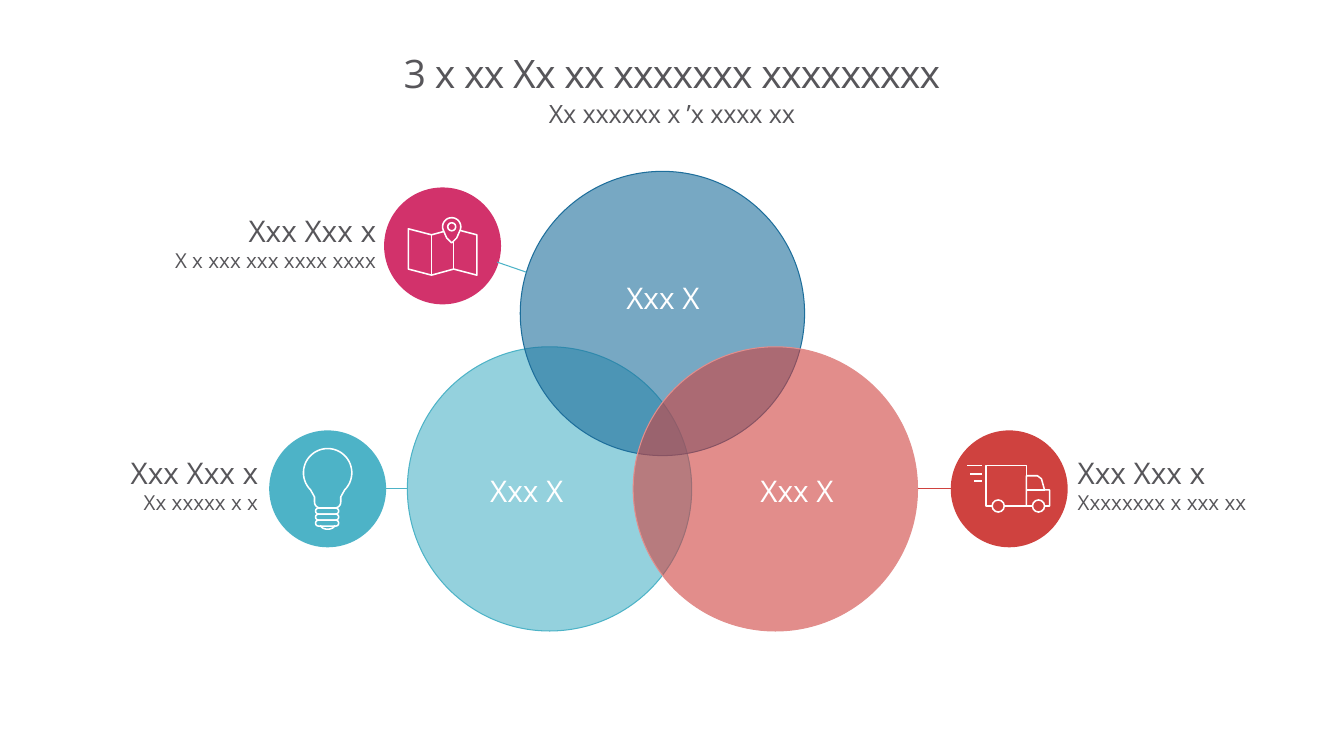
from math import cos, pi, sin

from lxml.etree import SubElement
from pptx import Presentation
from pptx.dml.color import RGBColor
from pptx.enum.shapes import MSO_CONNECTOR, MSO_SHAPE
from pptx.enum.text import MSO_ANCHOR, MSO_AUTO_SIZE, PP_ALIGN
from pptx.oxml.ns import qn
from pptx.util import Inches, Pt

FONT = "Open Sans"
GRAY = RGBColor(0x57, 0x56, 0x5A)
WHITE = RGBColor(0xFF, 0xFF, 0xFF)
TEAL = RGBColor(0x4D, 0xB3, 0xC7)
BLUE = RGBColor(0x1D, 0x6E, 0x9B)
RED = RGBColor(0xCF, 0x42, 0x3F)
PINK = RGBColor(0xD2, 0x32, 0x6B)
LIGHT_RED = RGBColor(0xE2, 0x8E, 0x8C)

ICON_STROKE = 1.1
VENN_DIAMETER = 2.82
BADGE_DIAMETER = 1.16


def style_shape(shape, fill=None, line=None, width=ICON_STROKE):
    shape.shadow.inherit = False
    if fill is None:
        shape.fill.background()
    else:
        shape.fill.solid()
        shape.fill.fore_color.rgb = fill
    if line is None:
        shape.line.fill.background()
    else:
        shape.line.color.rgb = line
        shape.line.width = Pt(width)


def add_preset(shapes, preset, box, **style):
    shape = shapes.add_shape(preset, *map(Inches, box))
    style_shape(shape, **style)
    return shape


def add_circle(shapes, x, y, radius, **style):
    """Add a circle by its centre."""
    box = (x - radius, y - radius, 2 * radius, 2 * radius)
    return add_preset(shapes, MSO_SHAPE.OVAL, box, **style)


def add_outline(shapes, points, close=True, fill=None):
    """Draw a white icon stroke through points given in inches."""
    corners = [(Inches(x), Inches(y)) for x, y in points]
    builder = shapes.build_freeform(*corners[0], scale=1.0)
    builder.add_line_segments(corners[1:], close=close)
    style_shape(builder.convert_to_shape(), fill=fill, line=WHITE)


def add_line(shapes, start, end, color, width=0.75):
    line = shapes.add_connector(MSO_CONNECTOR.STRAIGHT, *map(Inches, start + end))
    line.line.color.rgb = color
    line.line.width = Pt(width)
    SubElement(line._element.spPr, qn("a:effectLst"))


def arc(x, y, radius_x, radius_y, first, last, steps=40):
    """Return points on an ellipse between two angles in degrees, clockwise."""
    angles = [(first + (last - first) * i / steps) * pi / 180 for i in range(steps + 1)]
    return [(x + radius_x * cos(a), y + radius_y * sin(a)) for a in angles]


def add_text(slide, box, lines, align, color=GRAY, spacing=0.95, tracking=0, heading=False):
    """Add a text box; lines holds pairs of wording and point size."""
    shape = slide.shapes.add_textbox(*map(Inches, box))
    frame = shape.text_frame
    frame.word_wrap = True
    if heading:
        for side in ("left", "right", "top", "bottom"):
            setattr(frame, f"margin_{side}", 0)
    else:
        frame.auto_size = MSO_AUTO_SIZE.SHAPE_TO_FIT_TEXT
    for index, (wording, size) in enumerate(lines):
        paragraph = frame.add_paragraph() if index else frame.paragraphs[0]
        paragraph.alignment = align
        paragraph.line_spacing = spacing
        run = paragraph.add_run()
        run.text = wording
        for name, value in {"name": FONT, "size": Pt(size)}.items():
            setattr(run.font, name, value)
        run.font.color.rgb = color
        if tracking:
            run._r.get_or_add_rPr().set("spc", str(tracking))
    return frame


def add_headings(slide):
    style = {"align": PP_ALIGN.CENTER, "spacing": 0.86, "heading": True}
    title = add_text(slide, (1, 0.31, 11.33, 0.89),
                     [("3 x xx Xx xx xxxxxxx xxxxxxxxx", 28)], tracking=-50, **style)
    title.vertical_anchor = MSO_ANCHOR.MIDDLE
    add_text(slide, (1, 1.02, 11.33, 0.44),
             [("Xx xxxxxx x ’x xxxx xx", 18)], tracking=-10, **style)


def add_venn(slide):
    circles = [(4.04, 3.44, TEAL, TEAL), (5.16, 1.7, BLUE, BLUE), (6.28, 3.44, RED, LIGHT_RED)]
    for left, top, fill, line in circles:
        box = (left, top, VENN_DIAMETER, VENN_DIAMETER)
        circle = add_preset(slide.shapes, MSO_SHAPE.OVAL, box, fill=fill, line=line, width=0.75)
        color = circle._element.spPr.find(qn("a:solidFill"))[0]
        SubElement(color, qn("a:alpha")).set("val", "60000")
    for left, top in [(4.2, 4.67), (5.55, 2.75), (6.88, 4.67)]:
        add_text(slide, (left, top, 2.05, 0.44), [("Xxx X", 21.3)], PP_ALIGN.CENTER, WHITE)


def add_captions(slide):
    captions = [
        ((-0.23, 4.49, 2.89, 0.68), "Xx xxxxx x x", PP_ALIGN.RIGHT),
        ((0.36, 2.09, 3.47, 0.68), "X x xxx xxx xxxx xxxx", PP_ALIGN.RIGHT),
        ((10.59, 4.49, 3.05, 0.68), "Xxxxxxxx x xxx xx", PP_ALIGN.LEFT),
    ]
    for box, detail, align in captions:
        add_text(slide, box, [("Xxx Xxx x", 21.3), (detail, 14.7)], align)


def add_badge(slide, left, top, color):
    """Add a group holding a round badge and return its shapes."""
    shapes = slide.shapes.add_group_shape().shapes
    add_preset(shapes, MSO_SHAPE.OVAL, (left, top, BADGE_DIAMETER, BADGE_DIAMETER), fill=color)
    return shapes


def add_truck(slide):
    shapes = add_badge(slide, 9.43, 4.27, RED)
    add_preset(shapes, MSO_SHAPE.RECTANGLE, (9.78, 4.62, 0.4, 0.4), line=WHITE)
    add_outline(shapes, [(10.18, 4.72), (10.29, 4.72), (10.33, 4.75), (10.36, 4.86),
                         (10.41, 4.86), (10.41, 5.02), (10.18, 5.02)])
    add_line(shapes, (10.18, 4.86), (10.36, 4.86), WHITE, ICON_STROKE)
    for x in (9.9, 10.3):
        add_circle(shapes, x, 5.02, 0.06, fill=RED, line=WHITE)
    for left, y in [(9.59, 4.62), (9.62, 4.7), (9.66, 4.77)]:
        add_line(shapes, (left, y), (9.74, y), WHITE, ICON_STROKE)


def add_map(slide):
    shapes = add_badge(slide, 3.81, 1.86, PINK)
    columns = (4.05, 4.28, 4.5, 4.73)
    upper = [(x, 2.27 + 0.06 * (i % 2)) for i, x in enumerate(columns)]
    lower = [(x, y + 0.4) for x, y in upper]
    add_outline(shapes, upper + lower[::-1])
    for start, end in list(zip(upper, lower))[1:3]:
        add_line(shapes, start, end, WHITE, ICON_STROKE)
    add_outline(shapes, arc(4.48, 2.25, 0.09, 0.09, 160, 380)
                + [(4.53, 2.36), (4.48, 2.41), (4.43, 2.36)], fill=PINK)
    add_circle(shapes, 4.48, 2.25, 0.04, line=WHITE)


def add_bulb(slide):
    shapes = add_badge(slide, 2.67, 4.27, TEAL)
    center = 3.25
    neck = [(3.38, 4.93), (3.38, 4.98)] + arc(3.32, 4.98, 0.06, 0.06, 0, 90, 8)
    mirrored = [(2 * center - x, y) for x, y in neck[::-1]]
    add_outline(shapes, arc(center, 4.69, 0.24, 0.24, 135, 405) + neck + mirrored)
    for row in range(3):
        ring = add_preset(shapes, MSO_SHAPE.ROUNDED_RECTANGLE,
                          (3.13, 5.04 + 0.06 * row, 0.23, 0.06), line=WHITE)
        ring.adjustments[0] = 0.5
    add_outline(shapes, arc(center, 5.21, 0.07, 0.04, 0, 180), close=False)


def main():
    presentation = Presentation()
    presentation.slide_width = Inches(13.33)
    presentation.slide_height = Inches(7.5)
    slide = presentation.slides.add_slide(presentation.slide_layouts[6])
    add_headings(slide)
    add_venn(slide)
    add_captions(slide)
    add_truck(slide)
    add_map(slide)
    add_bulb(slide)
    add_line(slide.shapes, (9.1, 4.85), (9.43, 4.85), RED)
    add_line(slide.shapes, (3.83, 4.85), (4.04, 4.85), TEAL)
    add_line(slide.shapes, (4.93, 2.6), (5.22, 2.7), TEAL)
    presentation.save("out.pptx")


if __name__ == "__main__":
    main()
